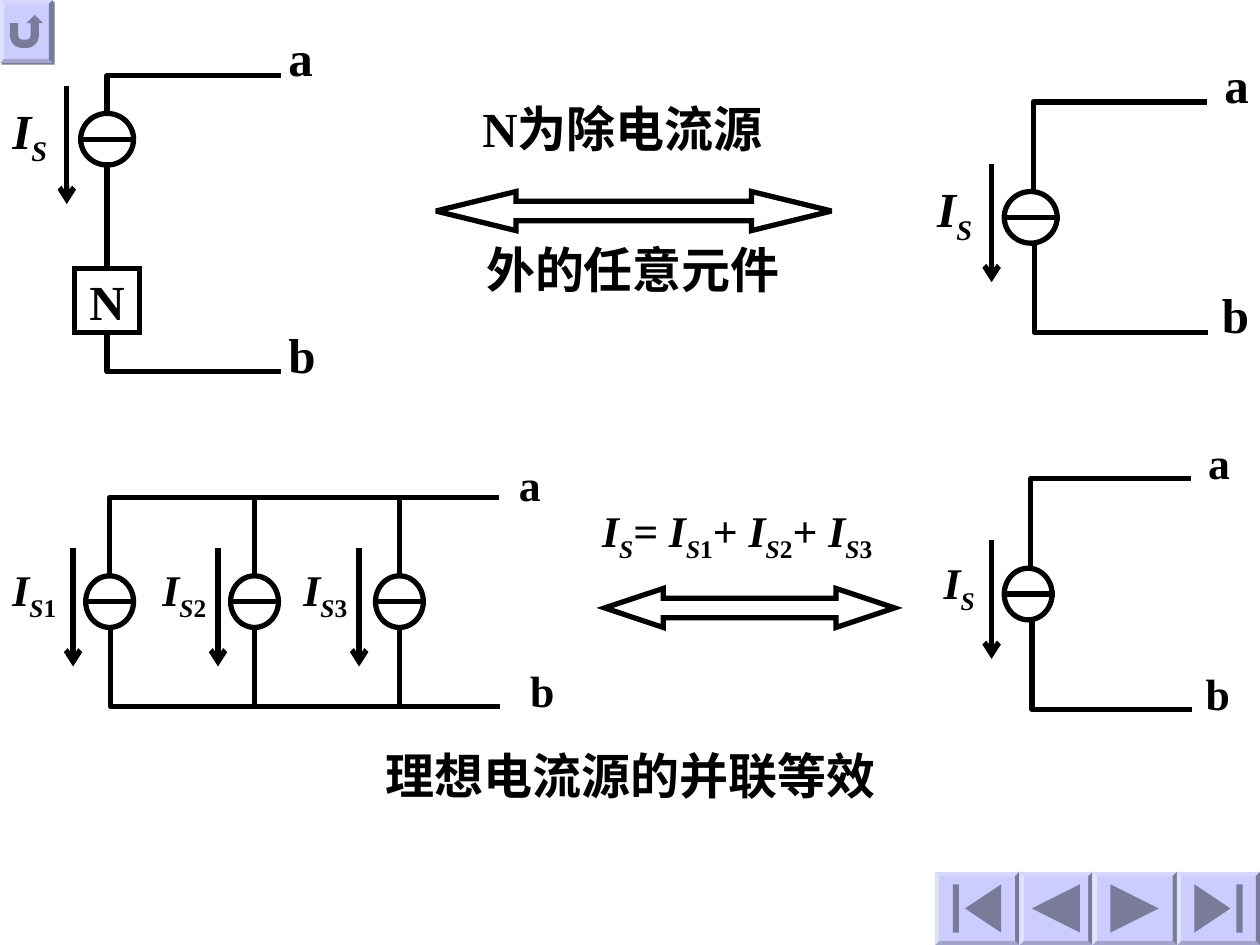
from lxml import etree
from pptx import Presentation
from pptx.dml.color import RGBColor
from pptx.enum.shapes import MSO_CONNECTOR, MSO_SHAPE as Preset
from pptx.enum.text import MSO_ANCHOR, PP_ALIGN
from pptx.oxml.ns import qn
from pptx.util import Inches, Pt

COLORS = {"ink": "000000", "button": "CCCCFF", "button_shadow": "7A7A99"}
FONT = "Times New Roman"
SOURCE_H = 0.41
ARROW_LEN = 0.92
BEVEL = 0.035


def ink_line(shape):
    shape.line.color.rgb = RGBColor.from_string(COLORS["ink"])
    shape.line.width = Pt(3)
    shape.line._get_or_add_ln().set("cap", "sq")


def outline(shapes, preset, x, y, w, h):
    """Add an unfilled preset shape with a thick black outline."""
    shape = shapes.add_shape(preset, Inches(x), Inches(y), Inches(w), Inches(h))
    shape.shadow.inherit = False
    shape.fill.background()
    ink_line(shape)
    if preset != Preset.OVAL:
        etree.SubElement(shape.line._get_or_add_ln(), qn("a:miter")).set("lim", "800000")
    return shape


def straight(shapes, x1, y1, x2, y2, arrow=False):
    line = shapes.add_connector(
        MSO_CONNECTOR.STRAIGHT, Inches(x1), Inches(y1), Inches(x2), Inches(y2))
    ink_line(line)
    if arrow:
        etree.SubElement(line.line._get_or_add_ln(), qn("a:tailEnd")).set("type", "arrow")
    etree.SubElement(line._element.spPr, qn("a:effectLst"))
    return line


def bent_wire(shapes, terminal_x, corner_x, corner_y, end_y):
    builder = shapes.build_freeform(Inches(terminal_x), Inches(corner_y))
    builder.add_line_segments(
        [(Inches(corner_x), Inches(corner_y)), (Inches(corner_x), Inches(end_y))], close=False)
    wire = builder.convert_to_shape()
    wire.shadow.inherit = False
    wire.fill.background()
    ink_line(wire)


def write_runs(paragraph, runs, size):
    """Write (text, style) runs; style holds i for italic and s for subscript."""
    for text, style in runs:
        run = paragraph.add_run()
        run.text = text
        run.font.name = FONT
        run.font.size = Pt(size)
        run.font.bold = True
        run.font.italic = "i" in style
        run.font.color.rgb = RGBColor.from_string(COLORS["ink"])
        if "s" in style:
            run._r.get_or_add_rPr().set("baseline", "-25000")


def label(shapes, x, y, w, h, runs, size, wrap=False, align=PP_ALIGN.LEFT):
    box = shapes.add_textbox(Inches(x), Inches(y), Inches(w), Inches(h))
    box.text_frame.word_wrap = wrap
    paragraph = box.text_frame.paragraphs[0]
    paragraph.alignment = align
    write_runs(paragraph, runs, size)


def current(index=""):
    """Runs of the symbol I with subscript S and an optional index."""
    runs = [("I", "i"), ("S", "is")]
    return runs + [(index, "s")] if index else runs


def terminal(shapes, letter, x, y, size):
    label(shapes, x, y, 0.4, 0.57 if size == 28 else 0.52, [(letter, "")], size)


def current_source(shapes, x, y, w, symbol, size, arrow_gap, label_gap, label_w):
    """Circle with bar, plus the arrow and current symbol to its left."""
    outline(shapes, Preset.OVAL, x, y, w, SOURCE_H)
    straight(shapes, x, y + SOURCE_H / 2, x + w, y + SOURCE_H / 2)
    arrow_x, arrow_y = x - arrow_gap, y - 0.2
    straight(shapes, arrow_x, arrow_y, arrow_x, arrow_y + ARROW_LEN, arrow=True)
    label(shapes, arrow_x - label_gap, arrow_y + 0.05, label_w, 0.6, symbol, size, wrap=True)


def equivalent_circuit(shapes, x, y, w, wire_x, wire_len, size, label_gap):
    current_source(shapes, x, y, w, current(), size, 0.1, label_gap, label_gap)
    top, bottom, end_x = y - 0.71, y + 1.12, wire_x + wire_len
    bent_wire(shapes, end_x, wire_x, top, y)
    bent_wire(shapes, end_x + 0.01, wire_x + 0.01, bottom, y + SOURCE_H)
    rise = 0.43 if size == 28 else 0.39
    terminal(shapes, "a", end_x + 0.06, top - rise, size)
    terminal(shapes, "b", end_x + 0.04, bottom - rise, size)


def series_circuit(shapes, x, y):
    """Current source in series with element N."""
    wire_x, end_x = x + 0.21, x + 1.57
    source_bottom, element_top = y + SOURCE_H, y + 1.23
    current_source(shapes, x, y, 0.42, current(), 28, 0.11, 0.53, 0.53)
    element = outline(shapes, Preset.RECTANGLE, wire_x - 0.26, element_top, 0.52, 0.51)
    element.text_frame.word_wrap = False
    element.text_frame.vertical_anchor = MSO_ANCHOR.MIDDLE
    paragraph = element.text_frame.paragraphs[0]
    paragraph.alignment = PP_ALIGN.CENTER
    write_runs(paragraph, [("N", "")], 28)
    link = straight(shapes, wire_x, source_bottom, wire_x, element_top)
    link.end_connect(element, 0)
    bent_wire(shapes, end_x, wire_x, y - 0.3, y)
    bent_wire(shapes, end_x, wire_x, y + 2.05, y + 1.74)
    terminal(shapes, "a", end_x - 0.02, y - 0.73, 28)
    terminal(shapes, "b", end_x - 0.02, y + 1.63, 28)


def parallel_circuit(shapes, x, y):
    """Three current sources between two shared rails."""
    width, pitch = 0.38, 1.15
    top, bottom = y - 0.62, y + 1.04
    arrow_gaps, label_gaps = (0.1, 0.1, 0.13), (0.58, 0.54, 0.54)
    for i, (arrow_gap, label_gap) in enumerate(zip(arrow_gaps, label_gaps)):
        source_x = x + i * pitch
        current_source(shapes, source_x, y, width, current(str(i + 1)), 25,
                       arrow_gap, label_gap, 0.68)
        if i:
            middle = source_x + width / 2
            straight(shapes, middle, y, middle, top)
            straight(shapes, middle, y + SOURCE_H, middle, bottom)
    bent_wire(shapes, x + 3.26, x + 0.19, top, y)
    bent_wire(shapes, x + 3.27, x + 0.2, bottom, y + SOURCE_H)
    terminal(shapes, "a", x + 3.34, y - 0.99, 25)
    terminal(shapes, "b", x + 3.43, y + 0.65, 25)


def equivalence_arrow(shapes, x, y, w, head):
    arrow = outline(shapes, Preset.LEFT_RIGHT_ARROW, x, y, w, 0.31)
    arrow.adjustments[0] = 0.5
    arrow.adjustments[1] = head


def series_row(shapes):
    series_circuit(shapes, 0.64, 0.9)
    equivalence_arrow(shapes, 3.46, 1.52, 3.14, 2.05)
    label(shapes, 3.73, 0.73, 2.8, 0.57, [("N为除电流源", "")], 28)
    label(shapes, 3.76, 1.85, 2.8, 0.57, [("外的任意元件", "")], 28)
    equivalent_circuit(shapes, 7.97, 1.52, 0.42, 8.2, 1.36, 28, 0.53)


def parallel_row(shapes):
    parallel_circuit(shapes, 0.68, 4.57)
    equivalence_arrow(shapes, 4.8, 4.67, 2.3, 1.5)
    total = (current() + [("= ", "i")] + current("1") + [("+ ", "")]
             + current("2") + [("+ ", "")] + current("3"))
    label(shapes, 4.68, 3.95, 2.62, 0.58, total, 25, wrap=True)
    equivalent_circuit(shapes, 7.97, 4.51, 0.38, 8.18, 1.25, 25, 0.48)
    label(shapes, 1.34, 5.87, 7.33, 0.57, [("理想电流源的并联等效", "")], 28,
          wrap=True, align=PP_ALIGN.CENTER)


def navigation_button(shapes, preset, x, y, w, h):
    """Bevelled frame with an action button on its face; returns the frame."""
    parts = []
    for kind, inset in ((Preset.BEVEL, 0), (preset, BEVEL)):
        part = shapes.add_shape(kind, Inches(x + inset), Inches(y + inset),
                                Inches(w - 2 * inset), Inches(h - 2 * inset))
        part.shadow.inherit = False
        part.fill.solid()
        part.fill.fore_color.rgb = RGBColor.from_string(COLORS["button"])
        part.line.fill.background()
        parts.append(part)
    parts[0].adjustments[0] = BEVEL / min(w, h)
    return parts[0]


def navigation(shapes):
    back = navigation_button(shapes, Preset.ACTION_BUTTON_RETURN, 0, 0, 0.42, 0.5)
    effects = back._element.spPr.find(qn("a:effectLst"))
    shadow = etree.SubElement(effects, qn("a:outerShdw"), dist=str(Pt(1.4)), dir="2700000")
    etree.SubElement(shadow, qn("a:srgbClr"), val=COLORS["button_shadow"])
    x = 7.42
    for preset, width in ((Preset.ACTION_BUTTON_BEGINNING, 0.67),
                          (Preset.ACTION_BUTTON_BACK_OR_PREVIOUS, 0.58),
                          (Preset.ACTION_BUTTON_FORWARD_OR_NEXT, 0.67),
                          (Preset.ACTION_BUTTON_END, 0.66)):
        navigation_button(shapes, preset, x, 6.92, width, 0.58)
        x += width


def main():
    prs = Presentation()
    prs.slide_width, prs.slide_height = Inches(10), Inches(7.5)
    slide = prs.slides.add_slide(prs.slide_layouts[6])
    navigation(slide.shapes)
    for row in (series_row, parallel_row):
        row(slide.shapes.add_group_shape().shapes)
    prs.save("out.pptx")


if __name__ == "__main__":
    main()
